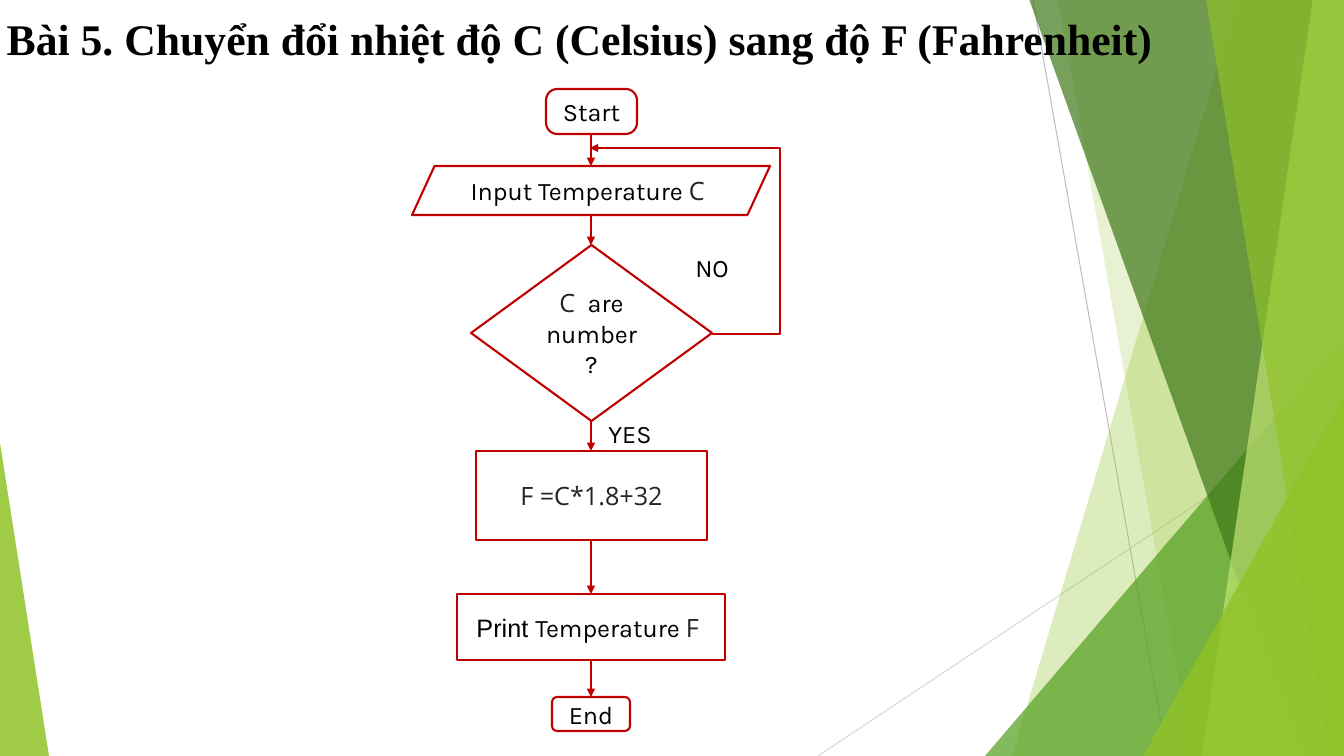
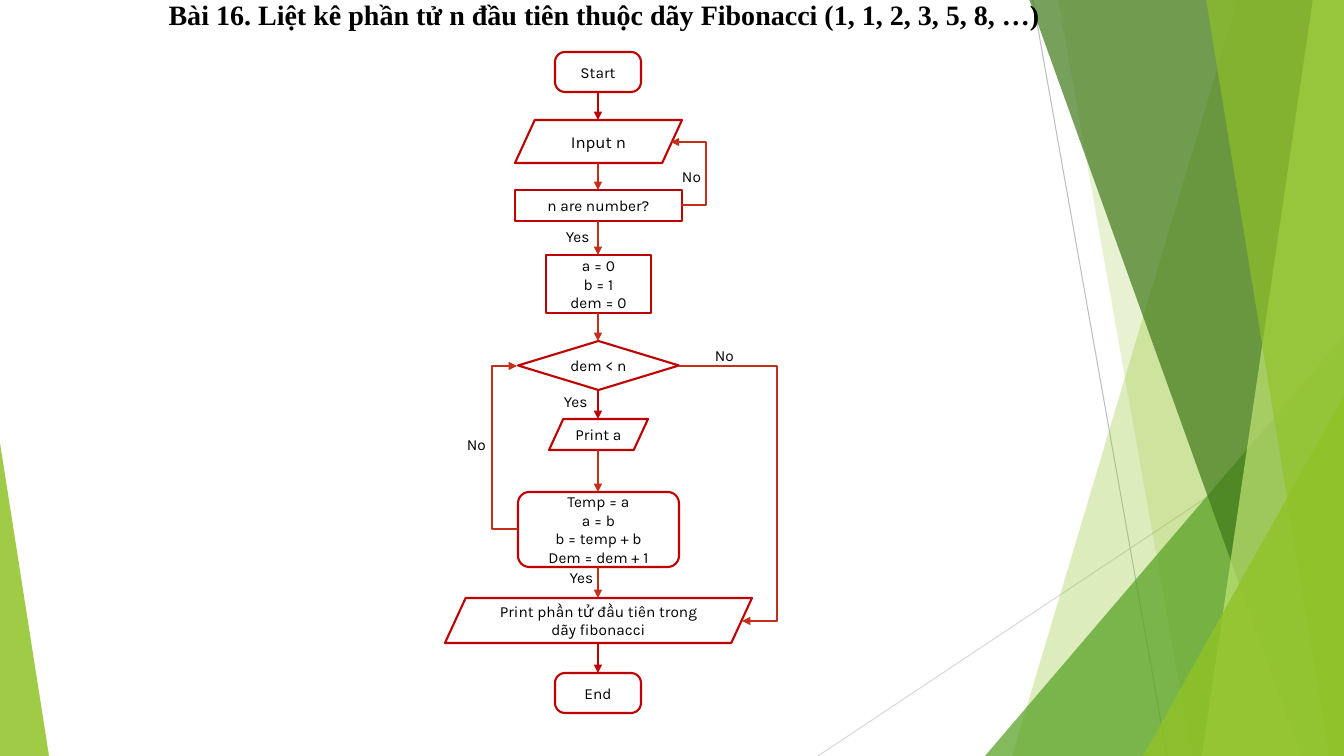
from lxml.etree import SubElement
from pptx import Presentation
from pptx.dml.color import RGBColor as RGB
from pptx.enum.shapes import MSO_CONNECTOR as CX, MSO_SHAPE as SH, PP_PLACEHOLDER as PH
from pptx.enum.text import MSO_ANCHOR as ANCHOR, MSO_AUTO_SIZE as FIT, PP_ALIGN as AL
from pptx.oxml.ns import qn
from pptx.util import Pt

PX = 9071
W, H = 1344, 756
C = {"black": "000000", "ink": "212529", "red": "C00000", "brick": "C42F1A",
     "lime": "90C226", "green": "54A021", "forest": "3F7819", "pale": "C0E474",
     "gray": "BFBFBF", "silver": "D9D9D9"}
FONT_INK = {"Karla": "black", "Arial": "black", "Open Sans": "ink"}

RAYS = [(1033, 0, 1167, 756, "gray"), (1344, 406, 818, 756, "silver")]
BACKDROP = [
    ("band", (1238, 1012), "lime", 30),
    ("band", (1058, 1192), "lime", 20),
    ("triangle", (985, 336, 359, 420, 1), "green", 72),
    ("band", (1029, 1301), "forest", 70),
    ("band", (1313, 1202), "pale", 70),
    ("band", (1206, 1329), "lime", 65),
    ("triangle", (1143, 396, 201, 360, 1), "lime", 80),
    ("triangle", (0, 443, 49, 313, 0), "lime", 85),
]

RECT, ROUND, DIAMOND, SLANT = SH.RECTANGLE, SH.ROUNDED_RECTANGLE, SH.DIAMOND, SH.PARALLELOGRAM
K, O, A = "Karla", "Open Sans", "Arial"

DECK = [
    {
        "title": "Bài 5. Chuyển đổi nhiệt độ C (Celsius) sang độ F (Fahrenheit)",
        "title_box": (-18, 0, 1195, 90), "title_size": 31.2, "spacing": 0.7,
        "center": 591, "size": 18,
        "flow": [
            (ROUND, 0.25, 89, 91, 45, [[("Start", K)]], None),
            (SLANT, 0.46, 166, 358, 49, [[("Input Temperature ", K), ("C ", O)]], "red"),
            (DIAMOND, None, 245, 241, 176, [[("C ", O), (" are number?", K)]], "red"),
            (RECT, None, 451, 231, 89, [[("F =C*1.8+32", O)]], "red"),
            (RECT, None, 594, 268, 66,
             [[("Print ", A), ("Temperature ", K), ("F ", O)]], "red"),
            (ROUND, 0.15, 697, 78, 34, [[("End", K)]], "red"),
        ],
        "labels": [("NO", 673, 250, 78, 34, AL.CENTER), ("YES", 591, 416, 78, 34, AL.CENTER)],
        "loops": [(712, 334, 590, 148, 780, "red")],
    },
    {
        "title": "Bài 16. Liệt kê phần tử n đầu tiên thuộc dãy Fibonacci (1, 1, 2, 3, 5, 8, …)",
        "title_box": (-40, -15, 1289, 62), "title_size": 20, "spacing": 0.9,
        "center": 598, "size": 11,
        "flow": [
            (ROUND, 0.25, 52, 86, 40, [[("Start", K)]], None),
            (SLANT, 0.46, 120, 167, 43, [[("Input n", K, 12)]], "red"),
            (RECT, None, 190, 167, 31, [[("n are number?", K)]], "brick"),
            (RECT, None, 255, 105, 58, [[("a = 0", K)], [("b = 1", K)], [("dem = 0", K)]], "brick"),
            (DIAMOND, None, 341, 161, 49, [[("dem < n", K)]], "brick"),
            (SLANT, 0.46, 419, 99, 31, [[("Print a", K)]], "red"),
            (ROUND, 0.15, 492, 161, 75,
             [[("Temp = a", K)], [("a = b", K)], [("b = temp + b", K)], [("Dem = dem + 1", K)]],
             "brick"),
            (SLANT, 0.46, 598, 307, 45,
             [[("Print phần tử đầu tiên trong dãy fibonacci", K)]], "brick"),
            (ROUND, 0.25, 673, 86, 40, [[("End", K)]], "red"),
        ],
        "labels": [
            ("No", 661, 161, 61, 30, AL.CENTER),
            ("Yes", 556, 221, 73, 31, AL.LEFT),
            ("No", 705, 340, 73, 31, AL.LEFT),
            ("Yes", 554, 386, 73, 31, AL.LEFT),
            ("No", 457, 429, 73, 31, AL.LEFT),
            ("Yes", 545, 558, 73, 39, AL.CENTER),
        ],
        "loops": [
            (681, 205, 671, 142, 706, "brick"),
            (679, 366, 742, 621, 777, "brick"),
            (518, 529, 517, 366, 492, "brick"),
        ],
    },
]


def add_box(s, kind, adj, x, y, w, h, paras, size, line=None, align=AL.CENTER):
    sp = s.shapes.add_shape(kind, x * PX, y * PX, w * PX, h * PX)
    sp.shadow.inherit = False
    sp.fill.background()
    if line:
        sp.line.color.rgb = RGB.from_string(C[line])
        sp.line.width = Pt(1.5)
    else:
        sp.line.fill.background()
    if adj is not None:
        sp.adjustments[0] = adj
    tf = sp.text_frame
    tf.word_wrap = True
    for i, runs in enumerate(paras):
        p = tf.add_paragraph() if i else tf.paragraphs[0]
        p.alignment = align
        for text, font, *own_size in runs:
            r = p.add_run()
            r.text = text
            r.font.name = font
            r.font.size = Pt(own_size[0] if own_size else size)
            r.font.color.rgb = RGB.from_string(C[FONT_INK[font]])


def add_link(s, x1, y1, x2, y2, color, width=1, arrow=True, via=None):
    kind = CX.STRAIGHT if via is None else CX.ELBOW
    cx = s.shapes.add_connector(kind, x1 * PX, y1 * PX, x2 * PX, y2 * PX)
    cx.line.color.rgb = RGB.from_string(C[color])
    cx.line.width = Pt(width)
    sp_pr = cx.element.spPr
    if arrow:
        SubElement(sp_pr.find(qn("a:ln")), qn("a:tailEnd"), type="triangle")
    if via is not None:
        bend = round((via - x1) / (x2 - x1) * 100000)
        guides = sp_pr.find(qn("a:prstGeom")).find(qn("a:avLst"))
        SubElement(guides, qn("a:gd"), name="adj1", fmla=f"val {bend}")
    SubElement(sp_pr, qn("a:effectLst"))
    return cx


prs = Presentation()
prs.slide_width, prs.slide_height = W * PX, H * PX
layout = prs.slide_layouts[5]
for ph in list(layout.placeholders):
    if ph.placeholder_format.type != PH.TITLE:
        layout.shapes.element.remove(ph.element)
slides = [prs.slides.add_slide(layout) for _ in DECK]

first = slides[0]
scenery = [add_link(first, *ray, width=0.75, arrow=False) for ray in RAYS]
for kind, geom, color, alpha in BACKDROP:
    if kind == "band":
        top, bottom = geom
        fb = first.shapes.build_freeform(top, -1, scale=PX)
        fb.add_line_segments([(W, -1), (W, H), (bottom, H)], close=True)
        sp = fb.convert_to_shape()
    else:
        x, y, w, h, apex = geom
        sp = first.shapes.add_shape(SH.ISOSCELES_TRIANGLE, x * PX, y * PX, w * PX, h * PX)
        sp.adjustments[0] = apex
    sp.shadow.inherit = False
    sp.line.fill.background()
    sp.fill.solid()
    sp.fill.fore_color.rgb = RGB.from_string(C[color])
    clr = sp.element.spPr.find(qn("a:solidFill")).find(qn("a:srgbClr"))
    SubElement(clr, qn("a:alpha"), val=str(alpha * 1000))
    scenery.append(sp)
for sp in scenery:
    layout.shapes.element.append(sp.element)

for s, page in zip(slides, DECK):
    title = s.shapes.title
    title.left, title.top, title.width, title.height = [v * PX for v in page["title_box"]]
    tf = title.text_frame
    tf.word_wrap = True
    tf.auto_size = FIT.NONE
    tf.vertical_anchor = ANCHOR.MIDDLE
    p = tf.paragraphs[0]
    p.alignment = AL.CENTER
    p.line_spacing = page["spacing"]
    r = p.add_run()
    r.text = page["title"]
    r.font.name = "Times New Roman"
    r.font.size = Pt(page["title_size"])
    r.font.bold = True
    r.font.color.rgb = RGB.from_string(C["black"])

    mid, size = page["center"], page["size"]
    bottom = 0
    for kind, adj, y, w, h, paras, arrow_color in page["flow"]:
        add_box(s, kind, adj, mid - w // 2, y, w, h, paras, size, "red")
        if arrow_color:
            add_link(s, mid, bottom, mid, y, arrow_color)
        bottom = y + h
    for x1, y1, x2, y2, via, color in page["loops"]:
        add_link(s, x1, y1, x2, y2, color, via=via)
    for text, x, y, w, h, align in page["labels"]:
        add_box(s, RECT, None, x, y, w, h, [[(text, K)]], size, align=align)

prs.save("out.pptx")
